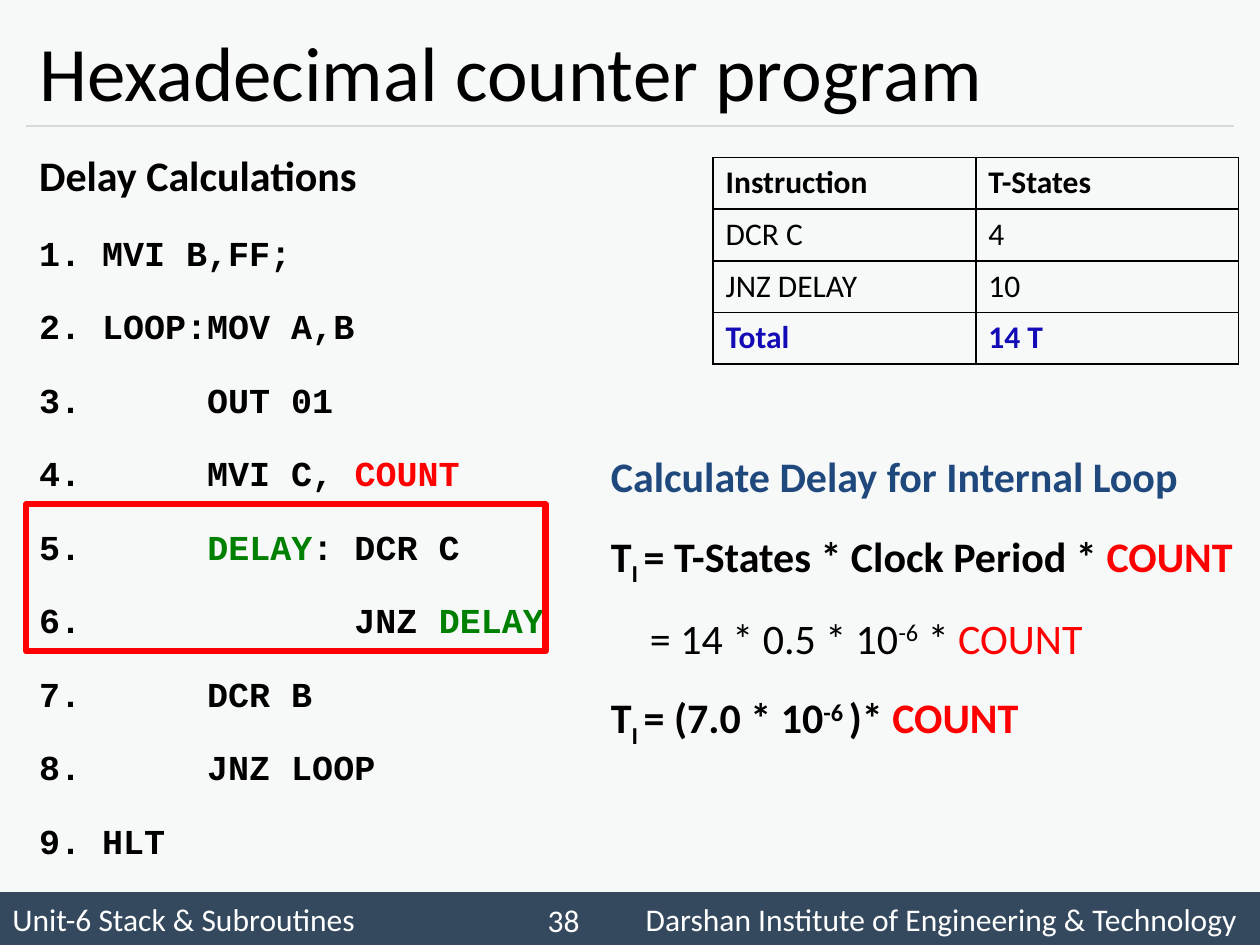
from typing import NamedTuple, Optional

from lxml import etree
from pptx import Presentation
from pptx.dml.color import RGBColor
from pptx.enum.shapes import MSO_CONNECTOR, MSO_SHAPE
from pptx.enum.text import MSO_ANCHOR, MSO_AUTO_SIZE, PP_ALIGN
from pptx.oxml.ns import qn
from pptx.util import Inches, Pt

LEFT, RIGHT, JUSTIFY = PP_ALIGN.LEFT, PP_ALIGN.RIGHT, PP_ALIGN.JUSTIFY
MIDDLE = MSO_ANCHOR.MIDDLE
NO_AUTOFIT = MSO_AUTO_SIZE.NONE
RECTANGLE = MSO_SHAPE.RECTANGLE
STRAIGHT = MSO_CONNECTOR.STRAIGHT

BACKGROUND = RGBColor(0xF7, 0xF9, 0xF9)
SLATE = RGBColor(0x34, 0x49, 0x5E)
RULE_GRAY = RGBColor(0xD9, 0xD9, 0xD9)
BLACK = RGBColor(0, 0, 0)
WHITE = RGBColor(0xFF, 0xFF, 0xFF)
RED = RGBColor(0xFF, 0, 0)
GREEN = RGBColor(0, 0x80, 0)
NAVY = RGBColor(0x1F, 0x49, 0x7D)
TOTAL_BLUE = RGBColor(0x13, 0x0B, 0xB5)

TEXT_FONT = "Calibri"
CODE_FONT = "Courier New"
SUBSCRIPT, SUPERSCRIPT = -25000, 30000
MARGIN = 0.21
CONTENT_WIDTH = 9.58


class Piece(NamedTuple):
    text: str
    color: RGBColor = BLACK
    baseline: int = 0


class TableRow(NamedTuple):
    instruction: str
    states: str
    color: RGBColor = BLACK
    bold: bool = False


COUNT = Piece("COUNT", RED)
DELAY = Piece("DELAY", GREEN)

CODE_LINES = [
    [Piece("MVI B,FF;")],
    [Piece("LOOP:MOV A,B")],
    [Piece("     OUT 01")],
    [Piece("     MVI C, "), COUNT],
    [Piece("     "), DELAY, Piece(": DCR C")],
    [Piece("            JNZ "), DELAY],
    [Piece("     DCR B")],
    [Piece("     JNZ LOOP")],
    [Piece("HLT")],
]

TABLE_ROWS = [
    TableRow("Instruction", "T-States", bold=True),
    TableRow("DCR C", "4"),
    TableRow("JNZ DELAY", "10"),
    TableRow("Total", "14 T", TOTAL_BLUE, True),
]


def write(paragraph, *pieces: Piece, size: float = 18, font: str = TEXT_FONT,
          bold: bool = False, align: PP_ALIGN = LEFT,
          line_spacing: Optional[float] = None, space_before: float = 0) -> None:
    """Fill a paragraph with formatted pieces of text."""
    paragraph.alignment = align
    paragraph.space_before = Pt(space_before)
    if line_spacing:
        paragraph.line_spacing = line_spacing
    for piece in pieces:
        run = paragraph.add_run()
        run.text = piece.text
        run.font.size = Pt(size)
        run.font.name = font
        run.font.bold = bold
        run.font.color.rgb = piece.color
        if piece.baseline:
            run.font._element.set("baseline", str(piece.baseline))


def set_indent(paragraph, left: float, first: float = 0):
    properties = paragraph._p.get_or_add_pPr()
    properties.set("marL", str(Inches(left)))
    properties.set("indent", str(Inches(first)))
    return properties


def place(shape, left: float, top: float, width: float, height: float) -> None:
    shape.left, shape.top = Inches(left), Inches(top)
    shape.width, shape.height = Inches(width), Inches(height)


def add_rectangle(slide, left: float, top: float, width: float, height: float):
    shape = slide.shapes.add_shape(
        RECTANGLE, Inches(left), Inches(top), Inches(width), Inches(height))
    shape.shadow.inherit = False
    return shape


def add_text_box(slide, left: float, top: float, width: float, height: float):
    box = slide.shapes.add_textbox(
        Inches(left), Inches(top), Inches(width), Inches(height))
    box.text_frame.word_wrap = True
    return box.text_frame


def add_borders(cell, color: RGBColor, width: float) -> None:
    properties = cell._tc.get_or_add_tcPr()
    for side in ("lnL", "lnR", "lnT", "lnB"):
        border = etree.SubElement(properties, qn(f"a:{side}"), w=str(Pt(width)))
        fill = etree.SubElement(border, qn("a:solidFill"))
        etree.SubElement(fill, qn("a:srgbClr"), val=str(color))


def add_table_row(slide, row: TableRow, top: float, height: float) -> None:
    """Draw one single-row table of the stack."""
    table = slide.shapes.add_table(
        1, 2, Inches(5.66), Inches(top), Inches(4.17), Inches(height)).table
    table.first_row = table.horz_banding = False
    for cell, text in zip(table.rows[0].cells, (row.instruction, row.states)):
        add_borders(cell, BLACK, 1)
        cell.fill.background()
        write(cell.text_frame.paragraphs[0], Piece(text, row.color), bold=row.bold)


def add_frame(slide) -> None:
    # Footer bar with a right tab for the institute
    bar = add_rectangle(slide, 0, 7.08, 10, 0.42)
    bar.fill.solid()
    bar.fill.fore_color.rgb = SLATE
    bar.line.fill.background()
    bar.text_frame.vertical_anchor = MIDDLE
    paragraph = bar.text_frame.paragraphs[0]
    tabs = etree.SubElement(paragraph._p.get_or_add_pPr(), qn("a:tabLst"))
    etree.SubElement(tabs, qn("a:tab"), pos=str(Inches(9.72)), algn="r")
    write(paragraph, Piece(
        "Unit-6 Stack & Subroutines\tDarshan Institute of Engineering & Technology",
        WHITE))

    # Slide number
    number = add_text_box(slide, 4.08, 7.1, 0.67, 0.4)
    number.vertical_anchor = MIDDLE
    number.margin_right = Inches(0.15)
    write(number.paragraphs[0], Piece("38", WHITE), align=RIGHT)

    # Rule below the title
    rule = slide.shapes.add_connector(
        STRAIGHT, Inches(MARGIN), Inches(1), Inches(MARGIN + CONTENT_WIDTH), Inches(1))
    rule.line.color.rgb = RULE_GRAY
    rule.line.width = Pt(0.75)
    etree.SubElement(rule._element.spPr, qn("a:effectLst"))


def add_program(slide) -> None:
    # Title
    title = slide.shapes.title
    place(title, MARGIN, 0.12, CONTENT_WIDTH, 0.88)
    title.text_frame.vertical_anchor = MIDDLE
    title.text_frame.auto_size = NO_AUTOFIT
    write(title.text_frame.paragraphs[0], Piece("Hexadecimal counter program"), size=44)

    # Heading and numbered code
    body = slide.placeholders[1]
    place(body, MARGIN, 1.08, CONTENT_WIDTH, 5.83)
    frame = body.text_frame
    frame.auto_size = NO_AUTOFIT
    heading = frame.paragraphs[0]
    etree.SubElement(set_indent(heading, 0), qn("a:buNone"))
    write(heading, Piece("Delay Calculations"), size=24, bold=True,
          align=JUSTIFY, line_spacing=1.14)
    for pieces in CODE_LINES:
        paragraph = frame.add_paragraph()
        etree.SubElement(set_indent(paragraph, 0.5, -0.5), qn("a:buAutoNum"),
                         type="arabicPeriod")
        write(paragraph, *pieces, size=20, font=CODE_FONT, bold=True,
              align=JUSTIFY, line_spacing=1.5, space_before=6)

    # Highlight around the delay loop
    highlight = add_rectangle(slide, MARGIN, 4, 4.12, 1.17)
    highlight.fill.background()
    highlight.line.color.rgb = RED
    highlight.line.width = Pt(3.5)


def add_calculation(slide) -> None:
    frame = add_text_box(slide, 4.75, 3.33, 5.25, 2.93)
    delay_symbol = [Piece("T"), Piece("I ", baseline=SUBSCRIPT)]
    lines = [
        ([Piece("Calculate Delay for Internal Loop", NAVY)], True, 0),
        ([*delay_symbol, Piece("= T-States * Clock Period * "), COUNT], True, 0),
        ([Piece("= 14 * 0.5 * 10"), Piece("-6", baseline=SUPERSCRIPT),
          Piece(" * "), COUNT], False, 0.31),
        ([*delay_symbol, Piece("= (7.0 * 10"), Piece("-6 ", baseline=SUPERSCRIPT),
          Piece(")* "), COUNT], True, 0),
    ]
    for index, (pieces, bold, indent) in enumerate(lines):
        paragraph = frame.add_paragraph() if index else frame.paragraphs[0]
        set_indent(paragraph, indent)
        write(paragraph, *pieces, size=24, bold=bold, line_spacing=1.5)


def main() -> None:
    presentation = Presentation()
    presentation.slide_width, presentation.slide_height = Inches(10), Inches(7.5)
    slide = presentation.slides.add_slide(presentation.slide_layouts[1])
    slide.background.fill.solid()
    slide.background.fill.fore_color.rgb = BACKGROUND

    add_frame(slide)
    add_program(slide)
    row_height = 0.41
    for index, row in enumerate(TABLE_ROWS):
        add_table_row(slide, row, 1.25 + index * row_height, row_height)
    add_calculation(slide)
    presentation.save("out.pptx")


if __name__ == "__main__":
    main()
